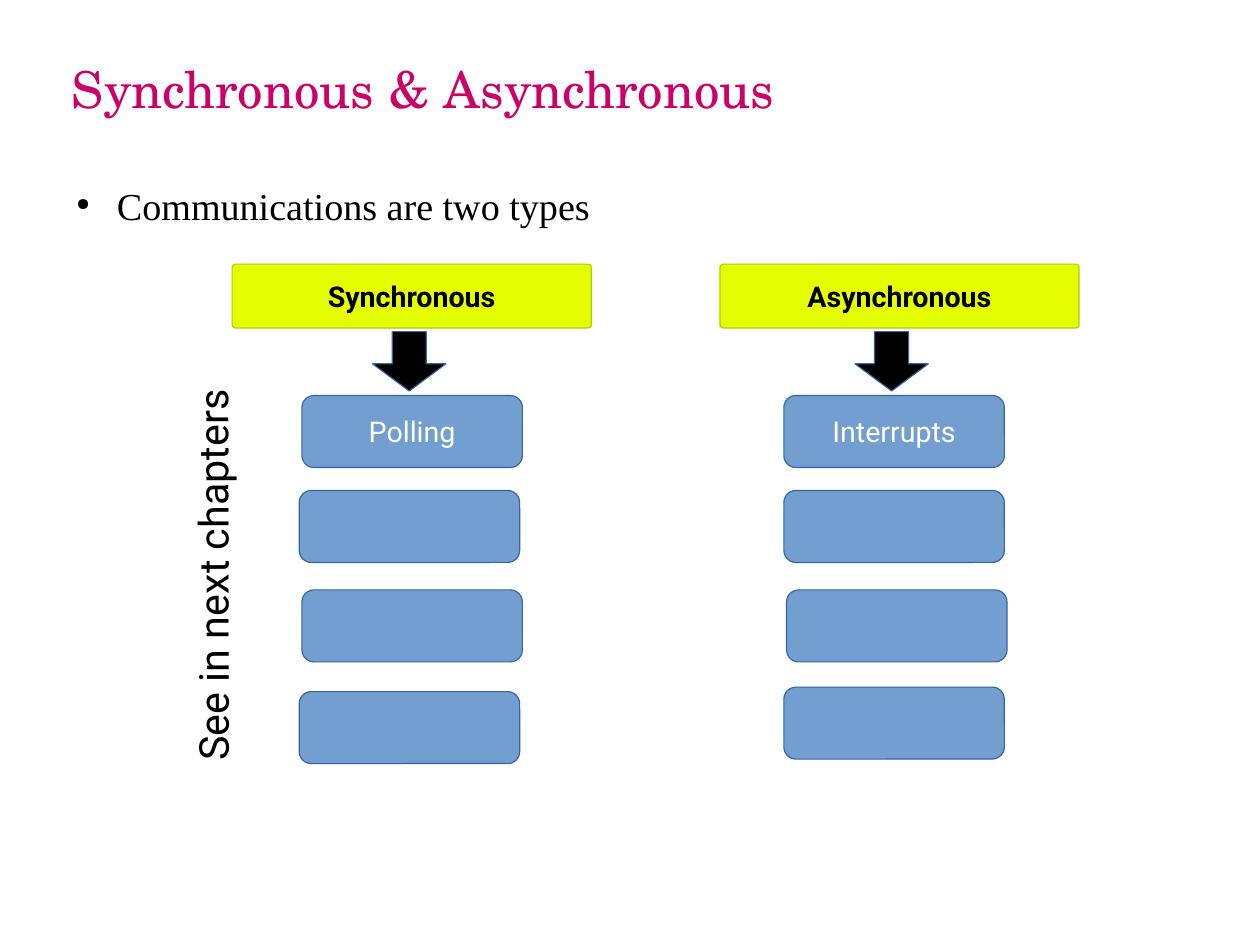
from lxml import etree
from pptx import Presentation
from pptx.dml.color import RGBColor
from pptx.enum.shapes import MSO_SHAPE as Kind
from pptx.enum.text import MSO_ANCHOR as Anchor, MSO_AUTO_SIZE as Auto, PP_ALIGN as Align
from pptx.oxml.ns import qn
from pptx.util import Cm, Pt

BLACK, WHITE = "000000", "FFFFFF"
BLUE, EDGE = "729FCF", "3465A4"
LIME, OLIVE = "E6FF00", "AECF00"


def color(code):
    return RGBColor.from_string(code)


def write(shape, text, size=18, font="Roboto", ink=BLACK, bold=False,
          align=Align.LEFT, anchor=Anchor.TOP, wrap=True, inset=None):
    frame = shape.text_frame
    frame.auto_size = Auto.NONE
    frame.word_wrap = wrap
    frame.vertical_anchor = anchor
    if inset is not None:
        frame.margin_left = frame.margin_right = Cm(inset)
        frame.margin_top = frame.margin_bottom = Cm(inset)
    para = frame.paragraphs[0]
    para.alignment = align
    run = para.add_run()
    run.text = text
    run.font.size = Pt(size)
    run.font.name = font
    run.font.bold = bold
    run.font.color.rgb = color(ink)
    return para


def bullet(para, sign, left, hang, scale):
    props = para._p.get_or_add_pPr()
    props.set("marL", str(Cm(left)))
    props.set("indent", str(-Cm(hang)))
    etree.SubElement(props, qn("a:buSzPct"), val=str(scale * 1000))
    etree.SubElement(props, qn("a:buChar"), char=sign)


def text_box(slide, area, text, turn=0, **style):
    box = slide.shapes.add_textbox(*map(Cm, area))
    box.rotation = turn
    return write(box, text, **style)


def block(slide, kind, area, fill, edge, adjust):
    shape = slide.shapes.add_shape(kind, *map(Cm, area))
    shape.shadow.inherit = False
    shape.fill.solid()
    shape.fill.fore_color.rgb = color(fill)
    shape.line.color.rgb = color(edge)
    shape.line.width = Pt(0)
    for i, value in enumerate(adjust):
        shape.adjustments[i] = value
    return shape


def column(slide, head, first, head_x, arrow_x, spots):
    label = {"align": Align.CENTER, "anchor": Anchor.MIDDLE, "wrap": False}
    # Heading and arrow
    top = block(slide, Kind.ROUNDED_RECTANGLE, (head_x, 5.87, 7.98, 1.42),
                LIME, OLIVE, [0.05])
    write(top, head, bold=True, **label)
    block(slide, Kind.DOWN_ARROW, (arrow_x, 7.37, 1.63, 1.32),
          BLACK, EDGE, [0.465, 0.457])
    # Stack of boxes, only the first one named
    boxes = [block(slide, Kind.ROUNDED_RECTANGLE, (x, y, 4.9, 1.6),
                   BLUE, EDGE, [0.167]) for x, y in spots]
    write(boxes[0], first, ink=WHITE, **label)


def main():
    deck = Presentation()
    deck.slide_width, deck.slide_height = Cm(28), Cm(21)
    slide = deck.slides.add_slide(deck.slide_layouts[5])

    # Title
    title = slide.shapes.title
    title.left, title.top, title.width, title.height = map(Cm, (1.6, 0.2, 25, 3.5))
    write(title, "Synchronous & Asynchronous", size=32, font="TeX Gyre Schola",
          ink="CC0066", anchor=Anchor.MIDDLE, inset=0)

    # Opening point
    point = text_box(slide, (1.4, 4.06, 25.2, 1.4), "Communications are two types",
                     size=24, font="Times New Roman", inset=0)
    bullet(point, "●", 1.2, 0.9, 45)

    # Two kinds of communication
    column(slide, "Synchronous", "Polling", 5.16, 8.28,
           [(6.71, 8.79), (6.65, 10.9), (6.71, 13.11), (6.65, 15.37)])
    column(slide, "Asynchronous", "Interrupts", 16, 19,
           [(17.42, 8.79), (17.42, 10.9), (17.48, 13.11), (17.42, 15.27)])

    # Side note
    text_box(slide, (0.46, 11.15, 9.58, 2.44), "See in next chapters",
             turn=269.8, size=26)

    deck.save("out.pptx")


if __name__ == "__main__":
    main()
